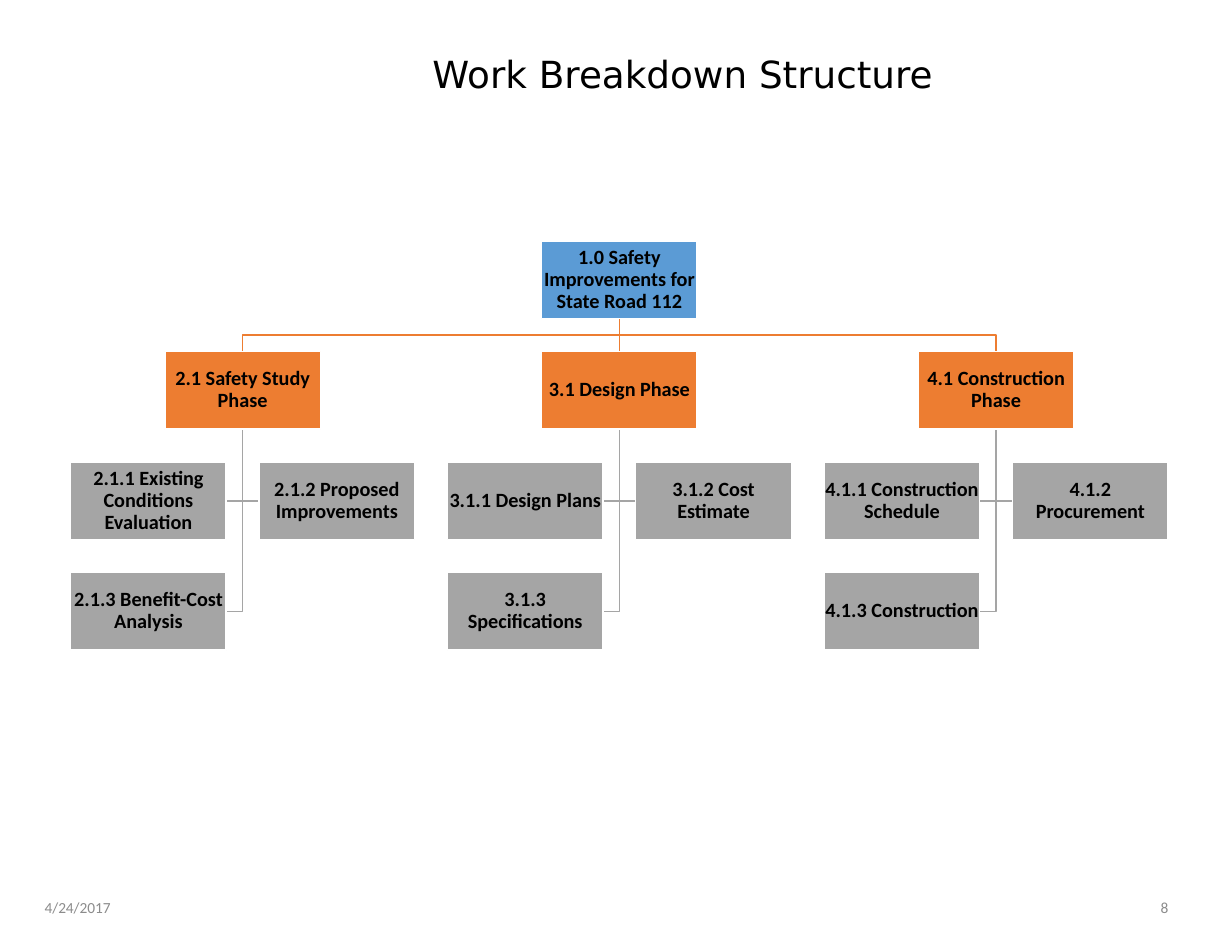
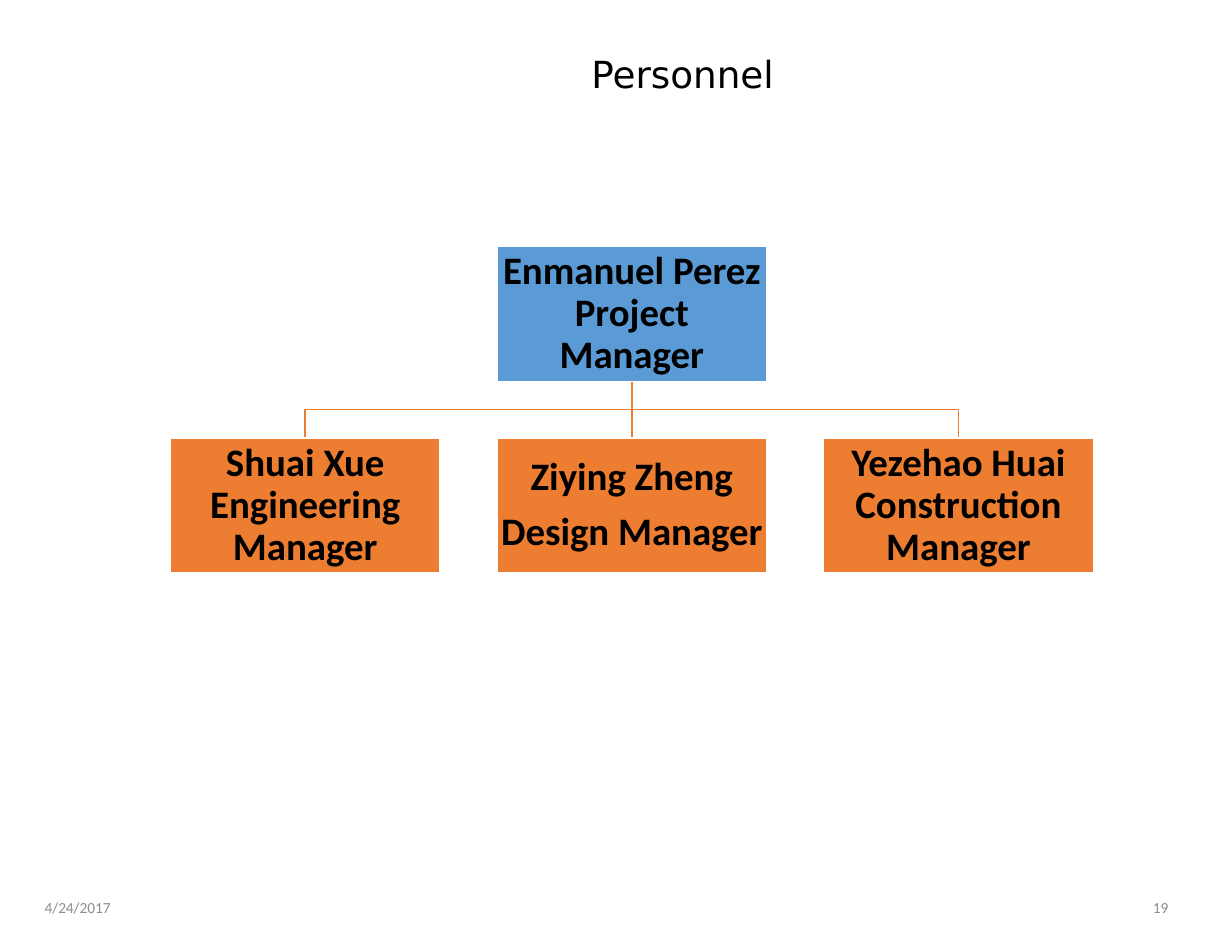
from pptx import Presentation
from pptx.dml.color import RGBColor
from pptx.enum.shapes import MSO_CONNECTOR, MSO_SHAPE
from pptx.enum.text import MSO_ANCHOR, PP_ALIGN
from pptx.oxml.ns import qn
from pptx.util import Inches, Pt
from lxml.etree import SubElement

BLACK = RGBColor(0x00, 0x00, 0x00)
WHITE = RGBColor(0xFF, 0xFF, 0xFF)
BLUE = RGBColor(0x5B, 0x9B, 0xD5)
ORANGE = RGBColor(0xED, 0x7D, 0x31)
GREY = RGBColor(0xA5, 0xA5, 0xA5)
FOOTER_GREY = RGBColor(0x8C, 0x8C, 0x8C)
TITLE_FONT, BODY_FONT = "DejaVu Sans", "Calibri"
DATE = "4/24/2017"

# A box is a list of paragraphs; a branch is a box and its leaf boxes.
SLIDES = [
    dict(
        title="Work Breakdown Structure", number="8",
        left=0.63, top=2.15, box_w=1.39, size=13, inset=0.01,
        root=["1.0 Safety Improvements for State Road 112"],
        branches=[
            (["2.1 Safety Study Phase"],
             [["2.1.1 Existing Conditions Evaluation"],
              ["2.1.2 Proposed Improvements"],
              ["2.1.3 Benefit-Cost Analysis"]]),
            (["3.1 Design Phase"],
             [["3.1.1 Design Plans"],
              ["3.1.2 Cost Estimate"],
              ["3.1.3 Specifications"]]),
            (["4.1 Construction Phase"],
             [["4.1.1 Construction Schedule"],
              ["4.1.2 Procurement"],
              ["4.1.3 Construction"]]),
        ]),
    dict(
        title="Personnel", number="19",
        left=1.52, top=2.2, box_w=2.41, size=25, inset=0.02,
        root=["Enmanuel Perez Project Manager"],
        branches=[
            (["Shuai Xue Engineering Manager"], []),
            (["Ziying Zheng", "Design Manager"], []),
            (["Yezehao Huai Construction Manager"], []),
        ]),
]


def write(p, text, font, size, color, align, bold=False):
    p.alignment = align
    r = p.add_run()
    r.text = text
    r.font.name, r.font.size, r.font.bold = font, Pt(size), bold
    r.font.color.rgb = color


def add_title(slide, text):
    sp = slide.shapes.title
    sp.left, sp.top, sp.width, sp.height = map(Inches, (1.9, 0.07, 8.39, 1.23))
    sp.text_frame.vertical_anchor = MSO_ANCHOR.MIDDLE
    p = sp.text_frame.paragraphs[0]
    p.line_spacing = 0.9
    write(p, text, TITLE_FONT, 24, BLACK, PP_ALIGN.CENTER)


def add_footers(slide, number):
    for left, text, align in ((0.3, DATE, PP_ALIGN.LEFT),
                              (8.05, number, PP_ALIGN.RIGHT)):
        sp = slide.shapes.add_textbox(*map(Inches, (left, 7.88, 2.48, 0.45)))
        tf = sp.text_frame
        tf.word_wrap, tf.vertical_anchor = True, MSO_ANCHOR.MIDDLE
        write(tf.paragraphs[0], text, BODY_FONT, 9.9, FOOTER_GREY, align)


class Tree:
    """Organisation chart on a grid whose gaps are 21% of the box width."""

    def __init__(self, slide, left, top, box_w, size, inset):
        self.shapes = slide.shapes
        self.left, self.top, self.size, self.inset = left, top, size, inset
        self.w, self.h, self.gap = box_w, box_w / 2, box_w * 0.21

    def x(self, col):
        return self.left + col * (self.w + self.gap)

    def y(self, row):
        return self.top + row * (self.h + self.gap)

    def mid(self, col):
        return self.x(col) + self.w / 2

    def box(self, col, row, paragraphs, fill):
        sp = self.shapes.add_shape(MSO_SHAPE.RECTANGLE, *map(
            Inches, (self.x(col), self.y(row), self.w, self.h)))
        sp.shadow.inherit = False
        sp.fill.solid()
        sp.fill.fore_color.rgb = fill
        sp.line.color.rgb, sp.line.width = WHITE, Pt(1)
        tf = sp.text_frame
        tf.word_wrap, tf.vertical_anchor = True, MSO_ANCHOR.MIDDLE
        tf.margin_left = tf.margin_right = Inches(self.inset)
        tf.margin_top = tf.margin_bottom = Inches(self.inset)
        for i, text in enumerate(paragraphs):
            p = tf.add_paragraph() if i else tf.paragraphs[0]
            p.line_spacing, p.space_after = 0.9, Pt(self.size * 0.35)
            write(p, text, BODY_FONT, self.size, BLACK, PP_ALIGN.CENTER, True)

    def link(self, points, color):
        """Line through points: a connector if straight, else an open outline."""
        points = [(Inches(x), Inches(y)) for x, y in points]
        if len(points) == 2:
            sp = self.shapes.add_connector(
                MSO_CONNECTOR.STRAIGHT, *points[0], *points[1])
            SubElement(sp._element.spPr, qn("a:effectLst"))
        else:
            outline = self.shapes.build_freeform(*points[0])
            outline.add_line_segments(points[1:], close=False)
            sp = outline.convert_to_shape()
            sp.shadow.inherit = False
            sp.fill.background()
        sp.line.color.rgb, sp.line.width = color, Pt(1)

    def draw(self, root, branches):
        span = 2 if any(leaves for _, leaves in branches) else 1
        cols = [i * span + (span - 1) / 2 for i in range(len(branches))]
        root_col = sum(cols) / len(cols)
        start, end = self.y(0) + self.h, self.y(1)
        bus = (start + end) / 2
        for col, (_, leaves) in zip(cols, branches):
            x0, x1 = self.mid(root_col), self.mid(col)
            bend = [(x0, bus), (x1, bus)] if col != root_col else []
            self.link([(x0, start), *bend, (x1, end)], ORANGE)
            for i in range(len(leaves)):
                y = self.y(2 + i // 2) + self.h / 2
                side = self.gap / 2 * (1 if i % 2 else -1)
                self.link([(x1, end + self.h), (x1, y), (x1 + side, y)], GREY)
        self.box(root_col, 0, root, BLUE)
        for col, (name, leaves) in zip(cols, branches):
            self.box(col, 1, name, ORANGE)
            for i, leaf in enumerate(leaves):
                self.box(col - 0.5 + i % 2, 2 + i // 2, leaf, GREY)


def main():
    prs = Presentation()
    prs.slide_width, prs.slide_height = Inches(11), Inches(8.5)
    for s in SLIDES:
        slide = prs.slides.add_slide(prs.slide_layouts[5])
        add_footers(slide, s["number"])
        add_title(slide, s["title"])
        tree = Tree(slide, s["left"], s["top"], s["box_w"], s["size"], s["inset"])
        tree.draw(s["root"], s["branches"])
    prs.save("out.pptx")


if __name__ == "__main__":
    main()
